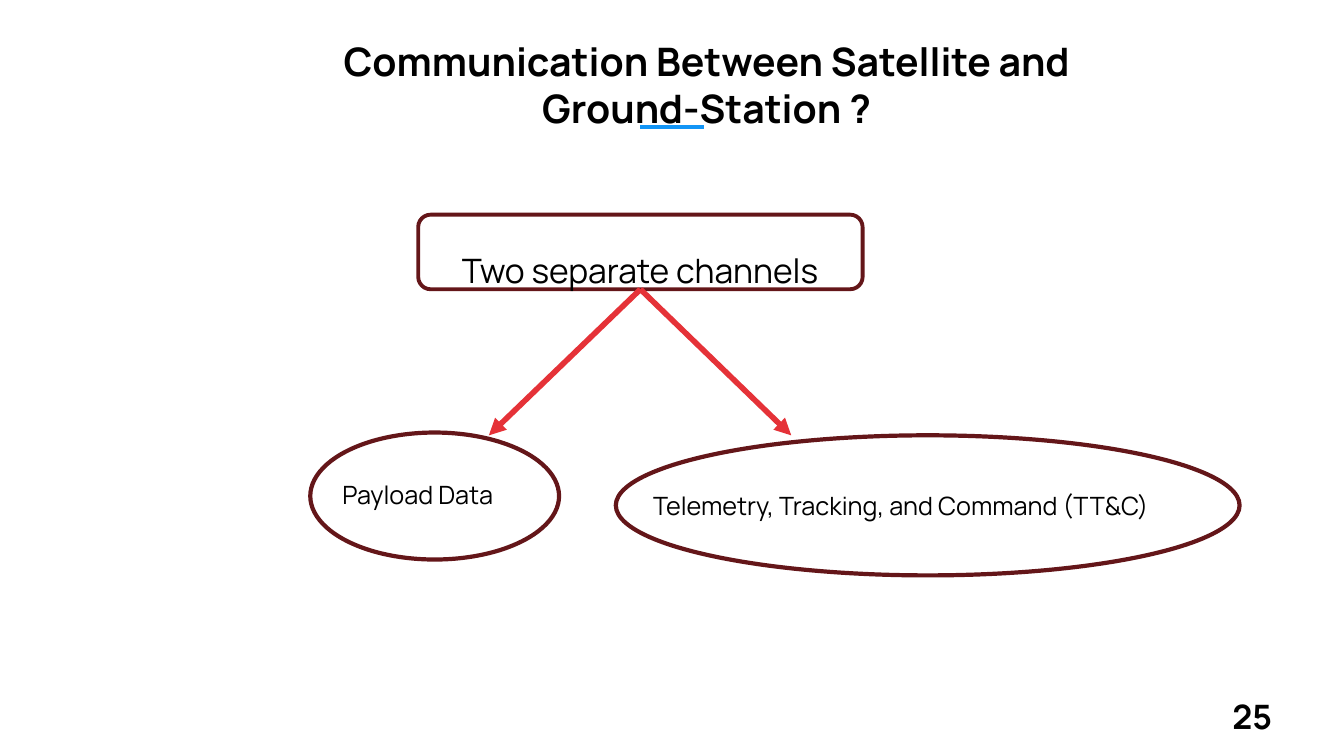
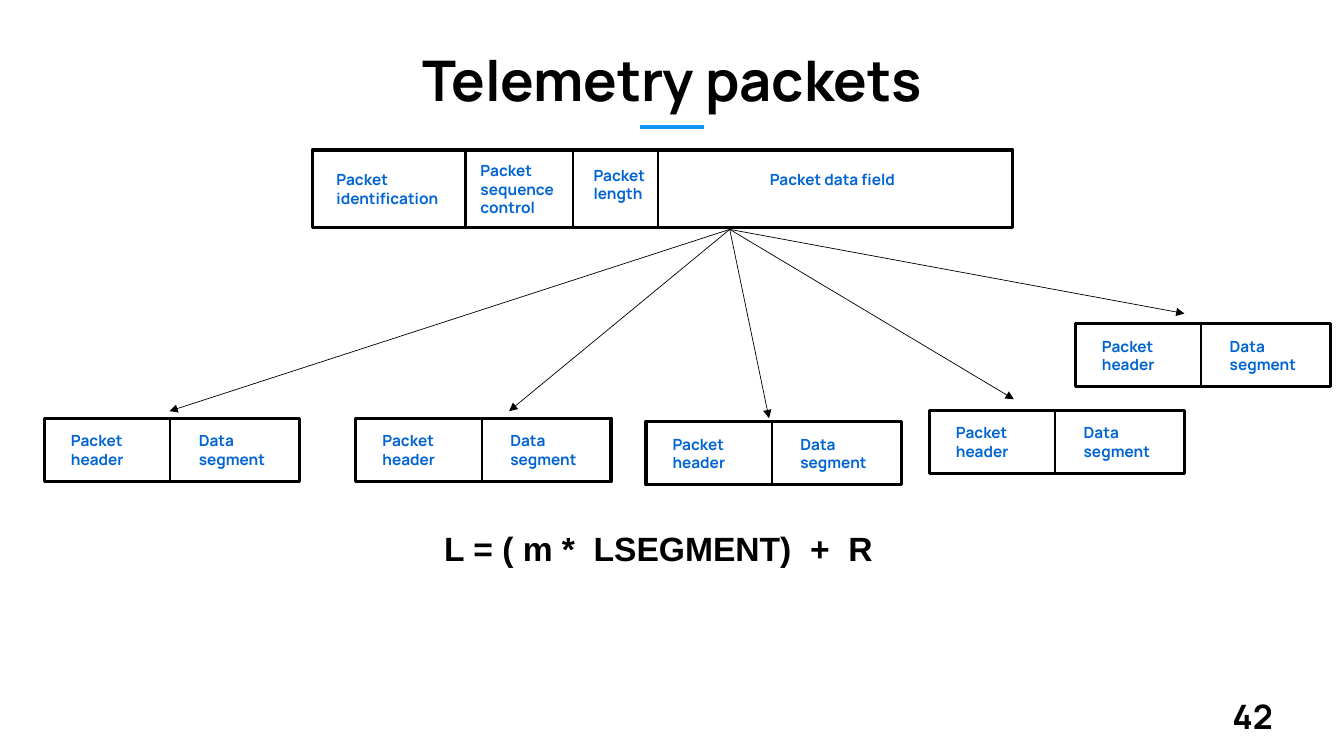
from lxml import etree
from pptx import Presentation
from pptx.dml.color import RGBColor
from pptx.enum.shapes import MSO_CONNECTOR, MSO_SHAPE
from pptx.enum.text import MSO_ANCHOR, MSO_AUTO_SIZE, PP_ALIGN
from pptx.oxml.ns import qn
from pptx.util import Cm, Pt

LINE = MSO_CONNECTOR.STRAIGHT
RECT, ROUND, OVAL = MSO_SHAPE.RECTANGLE, MSO_SHAPE.ROUNDED_RECTANGLE, MSO_SHAPE.OVAL
LEFT, MID = PP_ALIGN.LEFT, PP_ALIGN.CENTER
TOP, FIXED = MSO_ANCHOR.TOP, MSO_AUTO_SIZE.NONE

FONT = "Manrope"
BLACK, WHITE, ACCENT = "000000", "FFFFFF", "1295F6"
MAROON, RED, BLUE = "641619", "E53238", "0064D2"

# All places are in centimetres: left, top, width, height
RULE = ((16.13, 3.2), (17.73, 3.2))
NUMBER = (30.81, 17.42, 2.46, 1.27)

CHANNELS = {
    "title": "Communication Between Satellite and Ground-Station ?",
    "place": (6.5, 0.81, 22.61, 2.64), "size": 28, "number": "25",
}
ROOT = ("Two separate channels", (10.87, 4.65, 10.52, 2.41), (10.54, 5.41, 11.2, 1.88))
KINDS = [
    # label, label place, oval place, arrow tip
    ("Payload Data", (8.38, 11.96, 5.13, 1.02), (7.82, 10.9, 6.27, 3.2), (12.32, 10.97)),
    ("Telemetry, Tracking, and Command (TT&C)", (16.21, 12.22, 14.38, 1.02),
     (15.52, 10.97, 15.72, 3.53), (19.94, 10.97)),
]

PACKETS = {
    "title": "Telemetry packets",
    "place": (6.99, 1.02, 19.89, 1.96), "size": 40, "number": "42",
}
FRAME = (7.87, 3.78, 17.65, 1.96)
SPLITS = [3.86, 6.58, 8.72]
FIELDS = [
    ("Packet identification", (0.36, 0.39, 3.3, 1.19)),
    ("Packet sequence control", (3.99, 0.16, 2.59, 1.68)),
    ("Packet length", (6.84, 0.28, 2.06, 1.19)),
    ("Packet data field", (11.28, 0.39, 4.37, 0.74)),
]
SEGMENT = (6.43, 1.6)
HALVES = [
    ("Packet header", (0.42, 0.21, 2.74, 1.19)),
    ("Data segment", (3.64, 0.21, 3.12, 1.19)),
]
SOURCE = (18.39, 5.78)
SEGMENTS = [
    # left and top of the segment, arrow tip
    ((1.12, 10.54), (4.27, 10.36)),
    ((8.97, 10.54), (12.83, 10.36)),
    ((16.28, 10.62), (19.38, 10.54)),
    ((23.42, 10.34), (25.55, 10.06)),
    ((27.1, 8.15), (29.85, 7.9)),
]
FORMULA = ("L = ( m *  LSEGMENT)  +  R", (10.46, 13.18, 12.27, 1.27))


def rgb(code):
    return RGBColor.from_string(code)


def cms(place):
    return [Cm(n) for n in place]


def write(frame, text, size, color=BLACK, bold=False, align=LEFT, font=FONT):
    """Fill a text frame with one paragraph and return that paragraph."""
    frame.word_wrap = True
    frame.auto_size = FIXED
    frame.vertical_anchor = TOP
    para = frame.paragraphs[0]
    para.alignment = align
    run = para.add_run()
    run.text = text
    run.font.name, run.font.size, run.font.bold = font, Pt(size), bold
    run.font.color.rgb = rgb(color)
    return para


def label(slide, text, place, size, **look):
    box = slide.shapes.add_textbox(*cms(place))
    return write(box.text_frame, text, size, **look)


def outline(slide, kind, place, color, width, fill=None):
    shape = slide.shapes.add_shape(kind, *cms(place))
    shape.shadow.inherit = False
    if fill:
        shape.fill.solid()
        shape.fill.fore_color.rgb = rgb(fill)
    else:
        shape.fill.background()
    shape.line.color.rgb = rgb(color)
    shape.line.width = Pt(width)
    return shape


def stroke(slide, start, end, color, width, arrow=False):
    con = slide.shapes.add_connector(LINE, *cms(start + end))
    con.line.color.rgb = rgb(color)
    con.line.width = Pt(width)
    props = con._element.spPr
    if arrow:
        etree.SubElement(props.find(qn("a:ln")), qn("a:tailEnd"), type="triangle")
    etree.SubElement(props, qn("a:effectLst"))
    return con


def start_slide(deck, head):
    """Add a slide with the shared title, rule and page number."""
    slide = deck.slides.add_slide(deck.slide_layouts[5])
    title = slide.shapes.title
    title.left, title.top, title.width, title.height = cms(head["place"])
    write(title.text_frame, head["title"], head["size"], bold=True, align=MID)
    stroke(slide, *RULE, ACCENT, 2.25)
    label(slide, head["number"], NUMBER, 24, bold=True)
    return slide


def split_box(slide, place, splits, cells):
    """Draw a framed row; splits and cells are offsets from its corner."""
    left, top, _, height = place
    outline(slide, RECT, place, BLACK, 2.25, WHITE)
    for gap in splits:
        stroke(slide, (left + gap, top), (left + gap, top + height), BLACK, 1.5)
    for text, (x, y, w, h) in cells:
        label(slide, text, (left + x, top + y, w, h), 11, color=BLUE, bold=True)


def draw_channels(deck):
    slide = start_slide(deck, CHANNELS)
    text, spot, place = ROOT
    root = outline(slide, ROUND, place, MAROON, 2.75)
    label(slide, text, spot, 24, align=MID).line_spacing = 2.5
    foot = (place[0] + place[2] / 2, place[1] + place[3])
    for text, spot, oval, tip in KINDS:
        outline(slide, OVAL, oval, MAROON, 3)
        label(slide, text, spot, 18)
        stroke(slide, foot, tip, RED, 4, True).begin_connect(root, 2)


def draw_packets(deck):
    slide = start_slide(deck, PACKETS)
    split_box(slide, FRAME, SPLITS, FIELDS)
    for corner, tip in SEGMENTS:
        stroke(slide, SOURCE, tip, BLACK, 0.5, True)
        split_box(slide, corner + SEGMENT, [3.17], HALVES)
    label(slide, *FORMULA, 24, bold=True, align=MID, font="Arial")


def main():
    deck = Presentation()
    deck.slide_width, deck.slide_height = Cm(33.87), Cm(19.05)
    draw_channels(deck)
    draw_packets(deck)
    deck.save("out.pptx")


if __name__ == "__main__":
    main()
